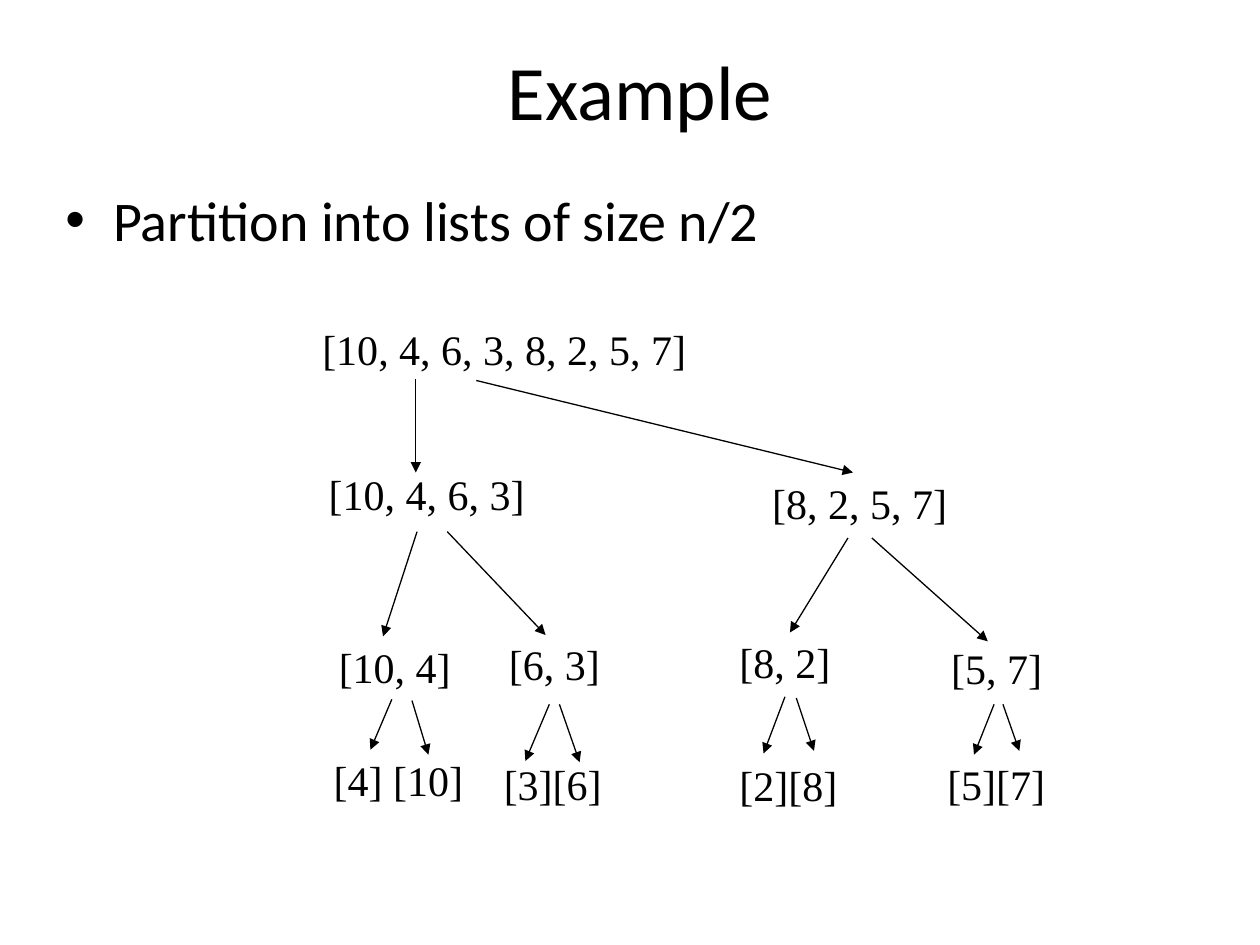
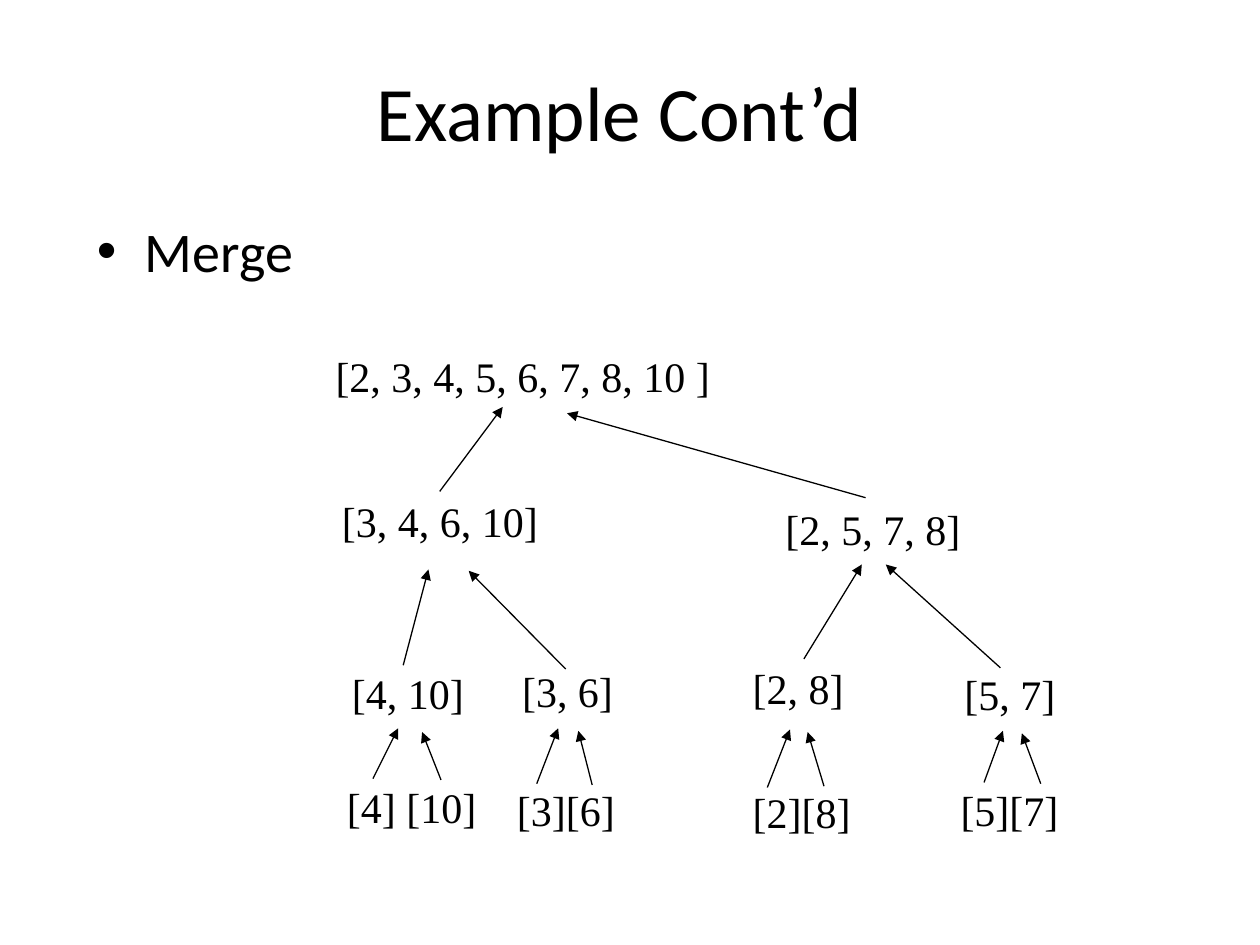
from dataclasses import dataclass, field
from typing import Any, NamedTuple

from lxml.etree import SubElement
from pptx import Presentation
from pptx.dml.color import RGBColor
from pptx.enum.shapes import MSO_CONNECTOR as Connector
from pptx.enum.text import MSO_ANCHOR as Anchor, MSO_AUTO_SIZE as AutoSize, PP_ALIGN as Align
from pptx.oxml.ns import qn
from pptx.util import Emu, Inches, Pt

SLIDE_WIDTH, SLIDE_HEIGHT = Inches(10), Inches(7.5)
COLUMNS, ROWS = 100, 75


@dataclass(frozen=True)
class Theme:
    ink: RGBColor = RGBColor(0, 0, 0)
    paper: RGBColor = RGBColor(255, 255, 255)
    arrow_width: Pt = Pt(0.75)
    bullet_indent: Emu = Inches(0.38)
    title: dict[str, Any] = field(default_factory=lambda: {"name": "Calibri", "size": Pt(44)})
    topic: dict[str, Any] = field(default_factory=lambda: {"name": "Calibri", "size": Pt(32)})
    sublist: dict[str, Any] = field(
        default_factory=lambda: {"name": "Times New Roman", "size": Pt(24)})


THEME = Theme()
TITLE_FRAME = {"word_wrap": True, "vertical_anchor": Anchor.MIDDLE}
TOPIC_FRAME = {"word_wrap": True, "vertical_anchor": Anchor.TOP}
SUBLIST_FRAME = {"word_wrap": False, "auto_size": AutoSize.SHAPE_TO_FIT_TEXT}


class Area(NamedTuple):
    column: float
    row: float
    columns: float
    rows: float = 5

    def shifted(self, right: float, down: float) -> "Area":
        return self._replace(column=self.column + right, row=self.row + down)


class Arrow(NamedTuple):
    from_column: float
    from_row: float
    to_column: float
    to_row: float


@dataclass(frozen=True)
class TreeSlide:
    title: str
    title_area: Area
    topic: str
    topic_area: Area
    shift: tuple[float, float]
    sublists: list[str]
    arrows: list[Arrow]


TREE_AREAS = [
    Area(24.6, 25.2, 32),
    Area(25.1, 36.7, 17.8), Area(60.3, 37.4, 16.2),
    Area(25.9, 50.4, 11.2), Area(39.4, 50.2, 9.5), Area(57.7, 50, 9.5), Area(74.5, 50.5, 9.5),
    Area(25.5, 59.4, 12.5), Area(39, 59.7, 10), Area(57.7, 59.8, 10), Area(74.2, 59.7, 10),
]
SINGLES = ["[4] [10]", "[3][6]", "[2][8]", "[5][7]"]

PARTITION = TreeSlide(
    title="Example",
    title_area=Area(8.3, 2.5, 85, 9.2),
    topic="Partition into lists of size n/2",
    topic_area=Area(4.2, 14.2, 85, 10),
    shift=(0, 0),
    sublists=["[10, 4, 6, 3, 8, 2, 5, 7]", "[10, 4, 6, 3]", "[8, 2, 5, 7]",
              "[10, 4]", "[6, 3]", "[8, 2]", "[5, 7]", *SINGLES],
    arrows=[
        Arrow(33, 30.1, 33, 37.5), Arrow(37.8, 30.2, 67.7, 37.5),
        Arrow(33.1, 42.2, 30.4, 50.5), Arrow(35.5, 42.2, 43.3, 50.4),
        Arrow(67.3, 42.7, 62.7, 50.2), Arrow(69.2, 42.7, 78.4, 50.9),
        Arrow(31.1, 55.5, 29.4, 59.5), Arrow(32.7, 55.6, 34, 59.9),
        Arrow(43.6, 55.9, 41.7, 60.4), Arrow(44.4, 55.9, 46, 60.5),
        Arrow(62.3, 55.3, 60.6, 59.8), Arrow(63.2, 55.4, 64.6, 59.6),
        Arrow(78.9, 55.9, 77.3, 59.9), Arrow(79.6, 55.9, 80.9, 59.6),
    ],
)

MERGE = TreeSlide(
    title="Example Cont’d",
    title_area=Area(6.7, 2.5, 85, 12.5),
    topic="Merge",
    topic_area=Area(6.7, 16.7, 85, 8.3),
    shift=(1.05, 2.1),
    sublists=["[2, 3, 4, 5, 6, 7, 8, 10 ]", "[3, 4, 6, 10]", "[2, 5, 7, 8]",
              "[4, 10]", "[3, 6]", "[2, 8]", "[5, 7]", *SINGLES],
    arrows=[
        Arrow(34.9, 39, 39.9, 32.3), Arrow(68.7, 39.5, 45, 32.8),
        Arrow(32, 52.8, 34, 45.2), Arrow(44.9, 53.1, 37.2, 45.3),
        Arrow(63.8, 52.3, 68.4, 44.8), Arrow(79.4, 53, 70.3, 44.8),
        Arrow(29.6, 61.8, 31.6, 57.8), Arrow(35, 61.9, 33.5, 58.1),
        Arrow(42.6, 62.2, 44.3, 57.8), Arrow(47, 62.3, 45.9, 58),
        Arrow(60.9, 62.5, 62.7, 57.9), Arrow(65.4, 62.4, 64.1, 58.1),
        Arrow(78.1, 62.1, 79.6, 58), Arrow(82.6, 62.2, 81.1, 58.2),
    ],
)


def across(columns: float) -> Emu:
    return Emu(round(SLIDE_WIDTH * columns / COLUMNS))


def down(rows: float) -> Emu:
    return Emu(round(SLIDE_HEIGHT * rows / ROWS))


def apply_format(target: Any, values: dict[str, Any]) -> None:
    for attribute, value in values.items():
        setattr(target, attribute, value)


def add_bullet(paragraph: Any) -> None:
    properties = paragraph._p.get_or_add_pPr()
    properties.set("marL", str(THEME.bullet_indent))
    properties.set("indent", str(-THEME.bullet_indent))
    SubElement(properties, qn("a:buFont"), typeface="Arial")
    SubElement(properties, qn("a:buChar"), char="•")


def add_text(slide: Any, area: Area, text: str, font: dict[str, Any], frame: dict[str, Any],
             align: Align = Align.LEFT, bulleted: bool = False) -> None:
    box = slide.shapes.add_textbox(across(area.column), down(area.row),
                                   across(area.columns), down(area.rows))
    apply_format(box.text_frame, frame)
    paragraph = box.text_frame.paragraphs[0]
    paragraph.alignment = align
    if bulleted:
        add_bullet(paragraph)
    run = paragraph.add_run()
    run.text = text
    apply_format(run.font, font)
    run.font.color.rgb = THEME.ink


def add_arrow(slide: Any, arrow: Arrow) -> None:
    connector = slide.shapes.add_connector(
        Connector.STRAIGHT, across(arrow.from_column), down(arrow.from_row),
        across(arrow.to_column), down(arrow.to_row))
    connector.line.width = THEME.arrow_width
    connector.line.color.rgb = THEME.ink
    SubElement(connector.line._get_or_add_ln(), qn("a:tailEnd"), type="triangle")
    SubElement(connector._element.spPr, qn("a:effectLst"))


def add_tree_slide(deck: Any, content: TreeSlide) -> None:
    slide = deck.slides.add_slide(deck.slide_layouts[6])
    slide.background.fill.solid()
    slide.background.fill.fore_color.rgb = THEME.paper
    add_text(slide, content.title_area, content.title, THEME.title, TITLE_FRAME, Align.CENTER)
    add_text(slide, content.topic_area, content.topic, THEME.topic, TOPIC_FRAME, bulleted=True)
    for area, sublist in zip(TREE_AREAS, content.sublists):
        add_text(slide, area.shifted(*content.shift), sublist, THEME.sublist, SUBLIST_FRAME)
    for arrow in content.arrows:
        add_arrow(slide, arrow)


def main() -> None:
    deck = Presentation()
    deck.slide_width, deck.slide_height = SLIDE_WIDTH, SLIDE_HEIGHT
    for content in (PARTITION, MERGE):
        add_tree_slide(deck, content)
    deck.save("out.pptx")


if __name__ == "__main__":
    main()
